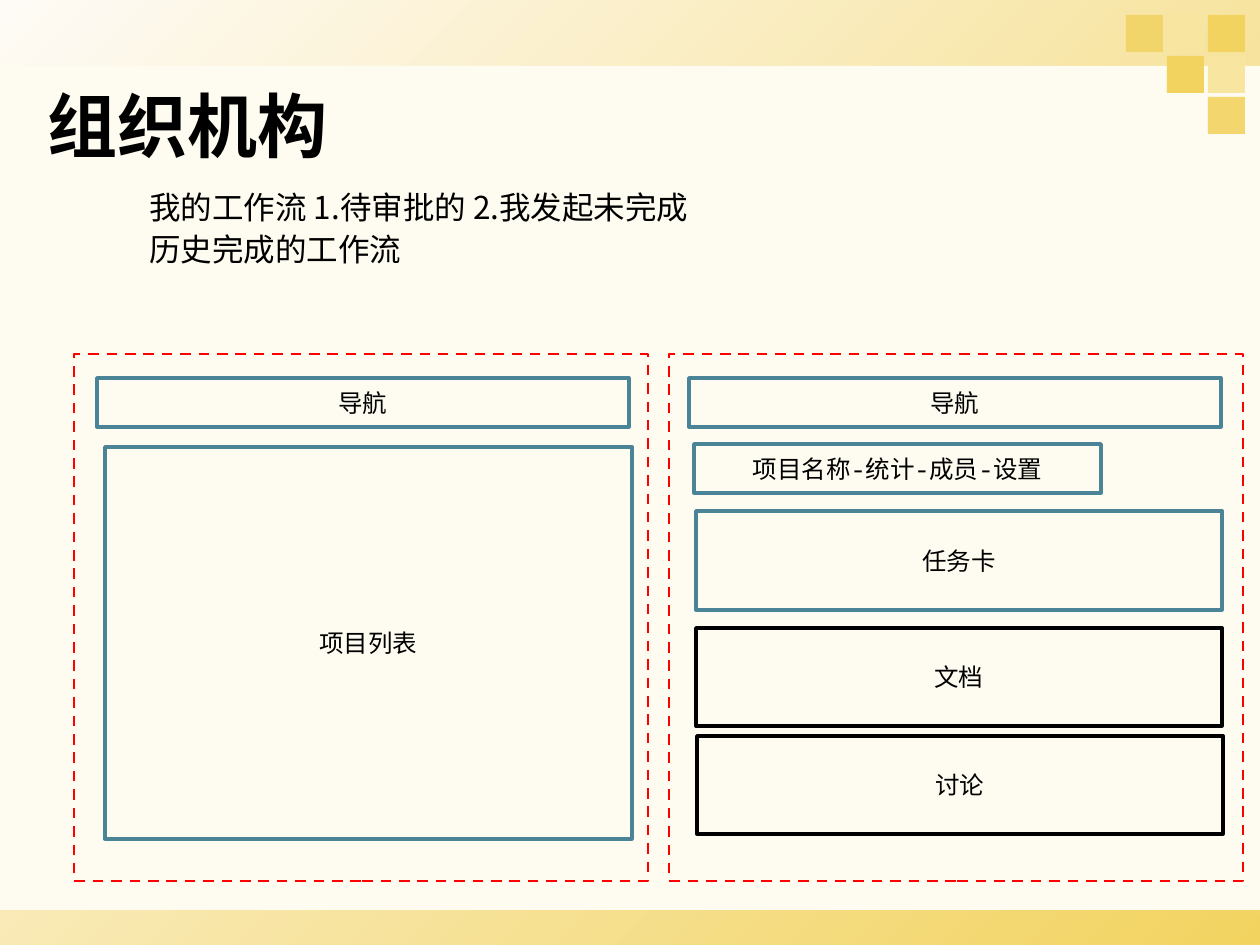
from lxml import etree
from pptx import Presentation
from pptx.dml.color import RGBColor
from pptx.enum.dml import MSO_LINE
from pptx.enum.shapes import MSO_SHAPE
from pptx.enum.text import MSO_ANCHOR, PP_ALIGN
from pptx.oxml.ns import qn
from pptx.util import Pt

RECTANGLE = MSO_SHAPE.RECTANGLE
DASH = MSO_LINE.DASH
MIDDLE = MSO_ANCHOR.MIDDLE
LEFT, CENTER = PP_ALIGN.LEFT, PP_ALIGN.CENTER

EMU_PER_PX = 914400 / 126
SLIDE_WIDTH, SLIDE_HEIGHT = 1260, 945
MONO, SANS = "Noto Sans Mono", "Noto Sans CJK SC"
BLACK, RED, TEAL = "000000", "FF0000", "4B8397"
CREAM, GOLD, PALE_GOLD = "FEFBF0", "F2D360", "F7E5A0"


def px(length):
    """Turn a length in px into EMU."""
    return round(length * EMU_PER_PX)


def color(hex_string):
    """Turn a hex string into a colour."""
    return RGBColor.from_string(hex_string)


def write_text(frame, text, size=14, font=MONO, bold=False, align=LEFT,
               indent=0, spacing=1.0, wrap=True):
    """Write the lines of text into a text frame, one paragraph each."""
    frame.word_wrap = wrap
    for index, line in enumerate(text.split("\n")):
        paragraph = frame.add_paragraph() if index else frame.paragraphs[0]
        paragraph.alignment = align
        paragraph.line_spacing = spacing
        if indent:
            paragraph.level = 1
            properties = paragraph._p.get_or_add_pPr()
            properties.set("marL", str(px(indent)))
            properties.set("indent", "0")
        run = paragraph.add_run()
        run.text = line
        run.font.size = Pt(size)
        run.font.bold = bold
        run.font.name = font
        run.font.color.rgb = color(BLACK)
        east_asian = etree.SubElement(run.font._element, qn("a:ea"))
        east_asian.set("typeface", SANS)


def add_rectangle(slide, box, fill=None, opacity=100, line=None, width=2, dash=None):
    """Add a plain rectangle with an optional fill and outline."""
    shape = slide.shapes.add_shape(RECTANGLE, *map(px, box))
    shape.shadow.inherit = False
    if fill:
        shape.fill.solid()
        shape.fill.fore_color.rgb = color(fill)
    else:
        shape.fill.background()
    if opacity < 100:
        fill_color = shape._element.spPr.find(f".//{qn('a:srgbClr')}")
        etree.SubElement(fill_color, qn("a:alpha")).set("val", str(opacity * 1000))
    if line:
        shape.line.color.rgb = color(line)
        shape.line.width = Pt(width)
        if dash:
            shape.line.dash_style = dash
    else:
        shape.line.fill.background()
    return shape


def add_text(slide, box, text, **text_format):
    """Add a text box."""
    frame = slide.shapes.add_textbox(*map(px, box)).text_frame
    write_text(frame, text, **text_format)


def add_background(slide):
    """Fill the slide with a diagonal gradient and lay the cream page over it."""
    fill = slide.background.fill
    fill.gradient()
    fill.gradient_angle = 315
    for stop, stop_color in zip(fill.gradient_stops, ("FEFBF6", GOLD)):
        stop.color.rgb = color(stop_color)
    add_rectangle(slide, (-6, 66, SLIDE_WIDTH + 12, 844), fill=CREAM)


def add_squares(slide, box):
    """Set the corner squares on a three by three grid."""
    left, top, width, _ = box
    side = 37
    step = (width - side) / 2
    squares = [
        (0, 0, GOLD, 85), (1, 0, PALE_GOLD, 100), (2, 0, GOLD, 100),
        (1, 1, GOLD, 100), (2, 1, PALE_GOLD, 100), (2, 2, GOLD, 90),
    ]
    for column, row, fill, opacity in squares:
        place = (left + column * step, top + row * step, side, side)
        add_rectangle(slide, place, fill=fill, opacity=opacity)


def add_page_frame(slide, box, blocks):
    """Draw a dashed page outline with labelled blocks inside it."""
    left, top, _, _ = box
    add_rectangle(slide, box, line=RED, width=1.5, dash=DASH)
    for label, x, y, width, height, line in blocks:
        shape = add_rectangle(slide, (left + x, top + y, width, height), line=line)
        shape.text_frame.vertical_anchor = MIDDLE
        write_text(shape.text_frame, label, align=CENTER)


def main():
    """Build the slide and save it."""
    presentation = Presentation()
    presentation.slide_width = px(SLIDE_WIDTH)
    presentation.slide_height = px(SLIDE_HEIGHT)
    slide = presentation.slides.add_slide(presentation.slide_layouts[6])

    add_background(slide)
    add_squares(slide, (1126, 15, 119, 119))
    add_text(slide, (35, 76, 309, 97), "组织机构", size=40, bold=True, wrap=False)
    add_text(slide, (74, 178, 1158, 97),
             "我的工作流 1.待审批的 2.我发起未完成\n历史完成的工作流",
             size=18, font=SANS, indent=63, spacing=1.1)
    add_page_frame(slide, (74, 354, 574, 527), [
        ("导航", 23, 24, 532, 49, TEAL),
        ("项目列表", 31, 93, 527, 392, TEAL),
    ])
    add_page_frame(slide, (669, 354, 574, 527), [
        ("导航", 20, 24, 532, 49, TEAL),
        ("项目名称-统计-成员-设置", 25, 90, 407, 49, TEAL),
        ("任务卡", 27, 157, 526, 99, TEAL),
        ("文档", 27, 274, 526, 98, BLACK),
        ("讨论", 28, 382, 526, 98, BLACK),
    ])
    presentation.save("out.pptx")


if __name__ == "__main__":
    main()
